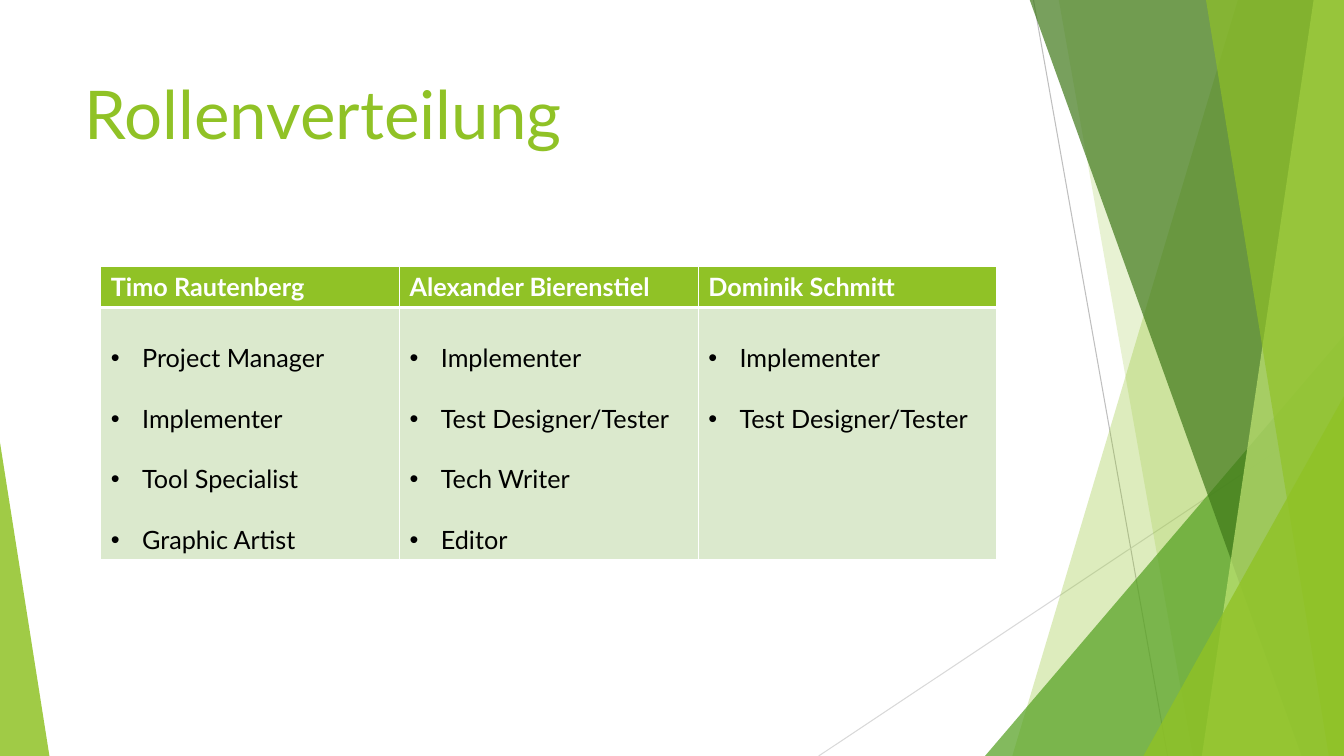
from lxml.etree import SubElement
from pptx import Presentation
from pptx.dml.color import RGBColor
from pptx.enum.shapes import MSO_CONNECTOR as Connector, MSO_SHAPE as Preset
from pptx.enum.text import MSO_ANCHOR as Anchor, PP_ALIGN as Align
from pptx.oxml.ns import qn
from pptx.util import Inches, Pt

TITLE = "Rollenverteilung"
ROLES = {
    "Timo Rautenberg": ["Project Manager", "Implementer", "Tool Specialist", "Graphic Artist"],
    "Alexander Bierenstiel": ["Implementer", "Test Designer/Tester", "Tech Writer", "Editor"],
    "Dominik Schmitt": ["Implementer", "Test Designer/Tester"],
}

THEME = {
    "font": "Lato", "title_size": 48, "table_size": 18,
    "lime": "90C226", "green": "54A021", "forest": "3F7819", "pale": "C0E474",
    "cell": "DBE9CD", "white": "FFFFFF", "black": "000000",
    "grey": "BFBFBF", "light_grey": "D9D9D9",
}

WIDTH, HEIGHT, BLEED = 13.33, 7.5, -0.01
THIN_LINES = [
    ((10.25, 0), (11.58, HEIGHT), "grey"),
    ((WIDTH, 4.03), (8.12, HEIGHT), "light_grey"),
]
FACETS = [
    ("band", 12.28, 10.04, "lime", 30),
    ("band", 10.5, 11.83, "lime", 20),
    ("triangle", 9.77, 3.33, 3.56, 1, "green", 72),
    ("band", 10.21, 12.91, "forest", 70),
    ("band", 13.03, 11.92, "pale", 70),
    ("band", 11.96, 13.18, "lime", 65),
    ("triangle", 11.34, 3.93, 1.99, 1, "lime", 80),
    ("triangle", 0, 4.39, 0.49, 0, "lime", 85),
]
TABLE_LEFT, TABLE_TOP, TABLE_WIDTH = 1, 2.64, 8.89
ROW_HEIGHTS = [0.41, 2.5]
BULLET_INDENT = Inches(0.31)


def color(name):
    return RGBColor.from_string(THEME[name])


def apply_format(target, values):
    for name, value in values.items():
        setattr(target, name, value)


def format_font(paragraph, size, color_name, bold=False):
    font = paragraph.font
    apply_format(font, {"name": THEME["font"], "size": Pt(THEME[size]), "bold": bold})
    font.color.rgb = color(color_name)


def paint(shape, color_name, opacity):
    shape.shadow.inherit = False
    shape.fill.solid()
    shape.fill.fore_color.rgb = color(color_name)
    shape.line.fill.background()
    color_element = shape.fill._xPr.find(qn("a:solidFill"))[0]
    SubElement(color_element, qn("a:alpha"), val=str(opacity * 1000))


def add_thin_line(slide, start, end, color_name):
    ends = [Inches(value) for value in start + end]
    connector = slide.shapes.add_connector(Connector.STRAIGHT, *ends)
    connector.line.color.rgb = color(color_name)
    connector.line.width = Pt(0.75)
    SubElement(connector._element.spPr, qn("a:effectLst"))


def add_band(slide, top_left, bottom_left, color_name, opacity):
    corners = [(top_left, BLEED), (WIDTH, BLEED), (WIDTH, HEIGHT), (bottom_left, HEIGHT)]
    points = [(Inches(x), Inches(y)) for x, y in corners]
    builder = slide.shapes.build_freeform(*points[0])
    builder.add_line_segments(points[1:], close=True)
    paint(builder.convert_to_shape(), color_name, opacity)


def add_triangle(slide, left, top, width, apex, color_name, opacity):
    box = [Inches(value) for value in (left, top, width, HEIGHT - top)]
    shape = slide.shapes.add_shape(Preset.ISOSCELES_TRIANGLE, *box)
    shape.adjustments[0] = apex
    paint(shape, color_name, opacity)


def add_title(slide):
    title = slide.shapes.title
    apply_format(title, {"left": Inches(0.74), "top": Inches(0.67),
                         "width": Inches(9.4), "height": Inches(1.44)})
    title.text_frame.text = TITLE
    apply_format(title.text_frame, {"vertical_anchor": Anchor.TOP, "word_wrap": True})
    paragraph = title.text_frame.paragraphs[0]
    paragraph.alignment = Align.LEFT
    format_font(paragraph, "title_size", "lime")


def style_cell(cell, fill_name, border_widths):
    properties = cell._tc.get_or_add_tcPr()
    for side, width in border_widths.items():
        border = SubElement(properties, qn(f"a:ln{side}"), w=str(Pt(width)))
        fill = SubElement(border, qn("a:solidFill"))
        SubElement(fill, qn("a:srgbClr"), val=THEME["white"])
    cell.fill.solid()
    cell.fill.fore_color.rgb = color(fill_name)


def fill_roles(cell, roles):
    cell.text_frame.text = "\n".join(roles)
    for paragraph in cell.text_frame.paragraphs:
        properties = paragraph._p.get_or_add_pPr()
        properties.set("marL", str(BULLET_INDENT))
        properties.set("indent", str(-BULLET_INDENT))
        SubElement(properties, qn("a:buFont"), typeface="Arial")
        SubElement(properties, qn("a:buChar"), char="•")
        paragraph.line_spacing = 2.0
        format_font(paragraph, "table_size", "black")


def add_roles_table(slide):
    box = [Inches(v) for v in (TABLE_LEFT, TABLE_TOP, TABLE_WIDTH, sum(ROW_HEIGHTS))]
    table = slide.shapes.add_table(len(ROW_HEIGHTS), len(ROLES), *box).table
    table.horz_banding = False
    for row, height in zip(table.rows, ROW_HEIGHTS):
        row.height = Inches(height)
    for index, (person, roles) in enumerate(ROLES.items()):
        header, body = table.cell(0, index), table.cell(1, index)
        style_cell(header, "lime", {"L": 1, "R": 1, "T": 1, "B": 3})
        style_cell(body, "cell", {"L": 1, "R": 1, "T": 3, "B": 1})
        header.text_frame.text = person
        format_font(header.text_frame.paragraphs[0], "table_size", "white", bold=True)
        fill_roles(body, roles)


def main():
    presentation = Presentation()
    apply_format(presentation, {"slide_width": Inches(WIDTH), "slide_height": Inches(HEIGHT)})
    slide = presentation.slides.add_slide(presentation.slide_layouts[5])
    for line in THIN_LINES:
        add_thin_line(slide, *line)
    draw = {"band": add_band, "triangle": add_triangle}
    for kind, *values in FACETS:
        draw[kind](slide, *values)
    add_title(slide)
    add_roles_table(slide)
    presentation.save("out.pptx")


if __name__ == "__main__":
    main()
